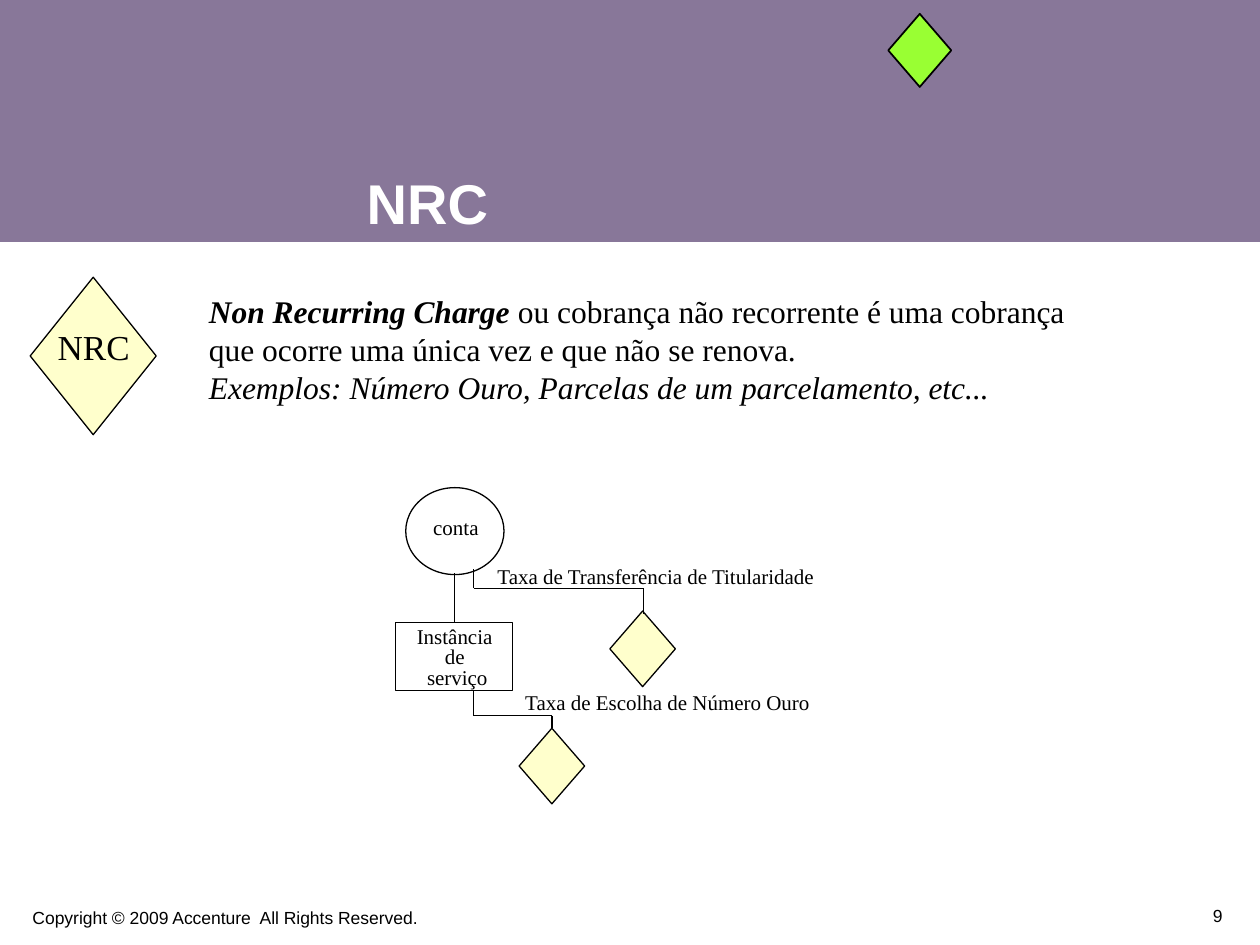
from lxml import etree
from pptx import Presentation
from pptx.dml.color import RGBColor
from pptx.enum.shapes import MSO_CONNECTOR, MSO_SHAPE
from pptx.enum.text import MSO_ANCHOR, MSO_AUTO_SIZE, PP_ALIGN
from pptx.oxml.ns import qn
from pptx.util import Inches, Pt

RECT, OVAL, GEM = MSO_SHAPE.RECTANGLE, MSO_SHAPE.OVAL, MSO_SHAPE.DIAMOND
LEFT, MID, RIGHT, JUST = PP_ALIGN.LEFT, PP_ALIGN.CENTER, PP_ALIGN.RIGHT, PP_ALIGN.JUSTIFY
BOTTOM, FIT, FIXED = MSO_ANCHOR.BOTTOM, MSO_AUTO_SIZE.SHAPE_TO_FIT_TEXT, MSO_AUTO_SIZE.NONE
STRAIGHT = MSO_CONNECTOR.STRAIGHT
SANS, SERIF = "Arial", "Times New Roman"
COLORS = {name: RGBColor.from_string(code) for name, code in {
    "band": "887799", "cream": "FFFFCC", "green": "99FF33",
    "black": "000000", "white": "FFFFFF"}.items()}

prs = Presentation()
prs.slide_width, prs.slide_height = Inches(10), Inches(7.5)
slide = prs.slides.add_slide(prs.slide_layouts[5])
shapes = slide.shapes


def draw(kind, box, fill=None, width=0.75):
    shape = shapes.add_shape(kind, *map(Inches, box))
    shape.shadow.inherit = False
    if fill:
        shape.fill.solid()
        shape.fill.fore_color.rgb = COLORS[fill]
    else:
        shape.fill.background()
    if width:
        shape.line.color.rgb = COLORS["black"]
        shape.line.width = Pt(width)
    else:
        shape.line.fill.background()
    return shape


def write(shape, paras, size, font=SERIF, color="black", align=LEFT, gap=0.8):
    frame = shape.text_frame
    for i, runs in enumerate(paras):
        para = frame.add_paragraph() if i else frame.paragraphs[0]
        para.alignment, para.line_spacing = align, gap
        for text, bold, slant in runs:
            run = para.add_run()
            run.text = text
            run.font.name, run.font.size = font, Pt(size)
            run.font.bold, run.font.italic = bold, slant
            run.font.color.rgb = COLORS[color]


# Title band, placed behind the title
band = draw(RECT, (0, 0, 10, 1.92), "band", 0)
title = shapes.title
title.left, title.top, title.width, title.height = map(Inches, (2.81, 0.67, 4.88, 1.25))
title.text_frame.vertical_anchor = BOTTOM
title.text_frame.auto_size = FIXED
write(title, [[("NRC", True, False)]], 32, SANS, "white", gap=1.0)
title._element.addprevious(band._element)

# Diamonds, account circle and service box
for kind, box, fill, width in [
    (GEM, (7.05, 0.11, 0.5, 0.58), "green", 1),
    (GEM, (0.24, 2.2, 1, 1.25), "cream", 0.75),
    (GEM, (4.84, 4.85, 0.52, 0.6), "cream", 0.75),
    (GEM, (4.12, 5.78, 0.52, 0.6), "cream", 0.75),
    (OVAL, (3.22, 3.87, 0.78, 0.69), None, 0.75),
    (RECT, (3.14, 4.94, 0.93, 0.54), None, 0.75),
]:
    draw(kind, box, fill, width)

# Branch lines, each drawn from point to point
for points in [
    [(3.61, 4.55), (3.61, 4.94)],
    [(3.76, 4.52), (3.76, 4.67), (5.11, 4.67), (5.11, 4.87)],
    [(3.76, 5.48), (3.76, 5.68), (4.38, 5.68), (4.38, 5.78)],
]:
    for start, end in zip(points, points[1:]):
        line = shapes.add_connector(STRAIGHT, *map(Inches, start + end))
        line.line.color.rgb = COLORS["black"]
        line.line.width = Pt(0.75)
        etree.SubElement(line._element.spPr, qn("a:effectLst"))

# Labels and footer
for box, lines, size, font, align in [
    ((0.36, 2.6, 0.77, 0.37), ["NRC"], 20, SERIF, LEFT),
    ((3.34, 4.07, 0.56, 0.26), ["conta"], 12, SERIF, LEFT),
    ((3.21, 4.94, 0.84, 0.58), ["Instância ", "de ", "serviço"], 12, SERIF, MID),
    ((3.85, 4.46, 2.74, 0.26), ["Taxa de Transferência de Titularidade"], 12, SERIF, LEFT),
    ((4.07, 5.46, 2.47, 0.26), ["Taxa de Escolha de Número Ouro"], 12, SERIF, LEFT),
    ((0.16, 7.18, 3.27, 0.24), ["Copyright © 2009 Accenture  All Rights Reserved."],
     10, SANS, LEFT),
]:
    label = shapes.add_textbox(*map(Inches, box))
    label.text_frame.word_wrap = False
    label.text_frame.auto_size = FIT
    write(label, [[(text, False, False)] for text in lines], size, font, align=align)

# Page number
page = shapes.add_textbox(*map(Inches, (7.95, 7.11, 1.85, 0.29)))
page.text_frame.word_wrap = True
page.text_frame.vertical_anchor = BOTTOM
write(page, [[("9", False, False)]], 10, SANS, align=RIGHT)

# Definition
body = shapes.add_textbox(*map(Inches, (1.56, 2.27, 7.1, 1)))
body.text_frame.word_wrap = True
body.text_frame.auto_size = FIT
write(body, [
    [("Non Recurring Charge ", True, True),
     ("ou cobrança não recorrente é uma cobrança", False, False)],
    [("que ocorre uma única vez e que não se renova.", False, False)],
    [("Exemplos: Número Ouro, Parcelas de um parcelamento, etc...", False, True)],
], 18, align=JUST, gap=1.0)

prs.save("out.pptx")
